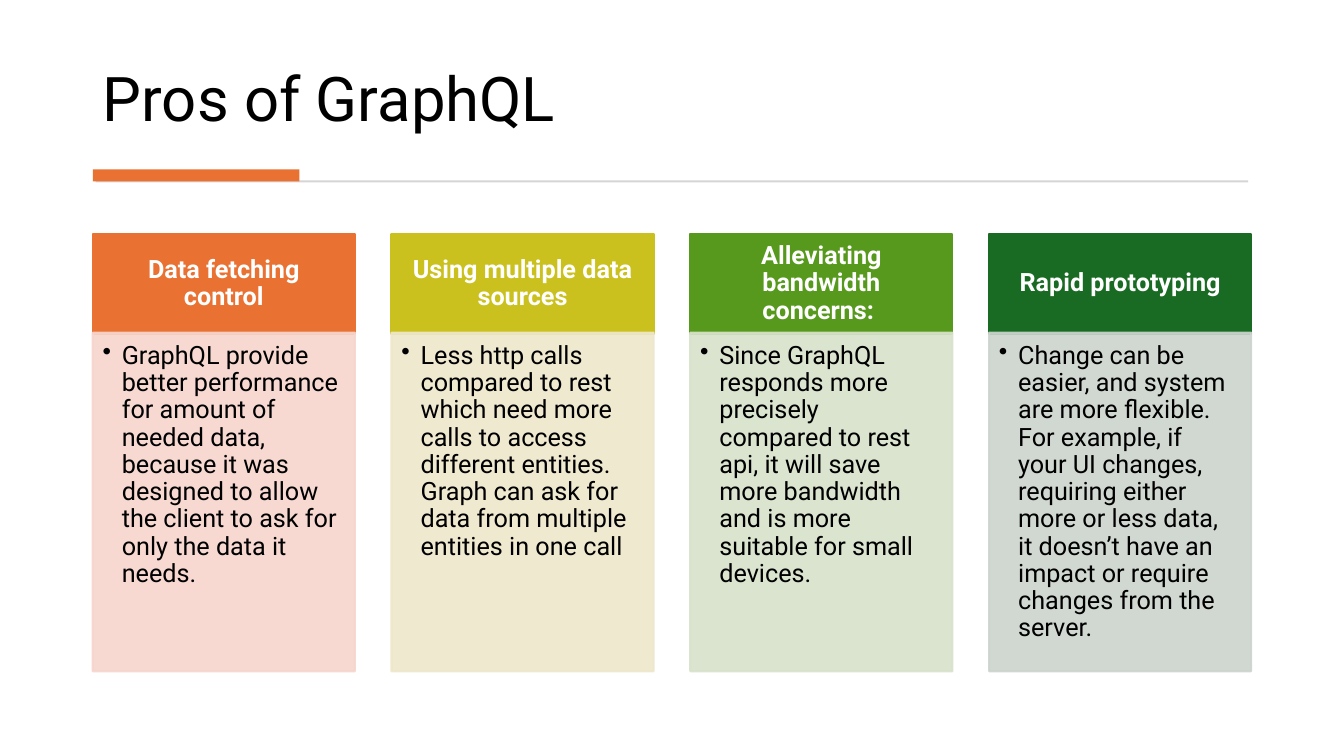
import pptx
import pptx.dml.color
import pptx.enum.shapes
import pptx.enum.text
import pptx.oxml
import pptx.oxml.ns
import pptx.util
from pptx.util import Inches

RGBColor = pptx.dml.color.RGBColor
Anchor = pptx.enum.text.MSO_ANCHOR
Align = pptx.enum.text.PP_ALIGN

BLACK = RGBColor(0x00, 0x00, 0x00)
WHITE = RGBColor(0xFF, 0xFF, 0xFF)
RULE_GREY = RGBColor(0xD5, 0xD5, 0xD5)
ORANGE = RGBColor(0xE9, 0x71, 0x32)
YELLOW = RGBColor(0xCB, 0xC1, 0x1E)
GREEN = RGBColor(0x56, 0x99, 0x1D)
DARK_GREEN = RGBColor(0x19, 0x6B, 0x24)
PALE_ORANGE = RGBColor(0xF7, 0xD5, 0xCE)
PALE_YELLOW = RGBColor(0xEE, 0xE7, 0xCB)
PALE_GREEN = RGBColor(0xD8, 0xE2, 0xCA)
PALE_DARK_GREEN = RGBColor(0xCC, 0xD4, 0xCD)

LEFT = 0.92
CONTENT_WIDTH = 11.49
COLUMN_WIDTH = 2.6
HEADER_TOP, HEADER_HEIGHT = 2.32, 0.99
BODY_TOP, BODY_HEIGHT = 3.3, 3.36

PROS = [
    ("Data fetching control", ORANGE, PALE_ORANGE,
     "GraphQL provide better performance for amount of needed data, because it was "
     "designed to allow the client to ask for only the data it needs."),
    ("Using multiple data sources", YELLOW, PALE_YELLOW,
     "Less http calls compared to rest which need more calls to access different "
     "entities. Graph can ask for data from multiple entities in one call"),
    ("Alleviating bandwidth concerns: ", GREEN, PALE_GREEN,
     "Since GraphQL responds more precisely compared to rest api, it will save more "
     "bandwidth and is more suitable for small devices."),
    ("Rapid prototyping", DARK_GREEN, PALE_DARK_GREEN,
     "Change can be easier, and system are more flexible. For example, if your UI "
     "changes, requiring either more or less data, it doesn’t have an impact or "
     "require changes from the server."),
]
COLUMN_STEP = (CONTENT_WIDTH - COLUMN_WIDTH) / (len(PROS) - 1)


class SlideBuilder:
    font_name = "Roboto"
    line_spacing = 0.9

    def __init__(self, page):
        self.page = page

    def set_text(self, shape, text, size, color, align, anchor, insets, bold=False):
        """Fill a shape with one formatted paragraph and return the paragraph."""
        frame = shape.text_frame
        frame.text = text
        frame.word_wrap = True
        frame.auto_size = pptx.enum.text.MSO_AUTO_SIZE.NONE
        frame.vertical_anchor = anchor
        (frame.margin_left, frame.margin_top,
         frame.margin_right, frame.margin_bottom) = map(Inches, insets)
        para = frame.paragraphs[0]
        para.alignment = align
        para.line_spacing = self.line_spacing
        para.space_before = pptx.util.Pt(0)
        font = para.runs[0].font
        font.name = self.font_name
        font.size = pptx.util.Pt(size)
        font.bold = bold
        font.color.rgb = color
        return para

    def title(self, text, left, top, width, height):
        title = self.page.shapes.title
        title.left, title.top = Inches(left), Inches(top)
        title.width, title.height = Inches(width), Inches(height)
        self.set_text(title, text, 44, BLACK, Align.LEFT, Anchor.BOTTOM,
                      (0.1, 0.05, 0.1, 0.05))

    def rectangle(self, left, top, width, height, color, outlined=False, opacity=100):
        box = self.page.shapes.add_shape(
            pptx.enum.shapes.MSO_SHAPE.RECTANGLE,
            Inches(left), Inches(top), Inches(width), Inches(height))
        box.shadow.inherit = False
        box.fill.solid()
        box.fill.fore_color.rgb = color
        if outlined:
            box.line.color.rgb = color
            box.line.width = pptx.util.Pt(1.5)
        else:
            box.line.fill.background()
        if opacity < 100:
            for paint in box.element.spPr.iter(pptx.oxml.ns.qn("a:srgbClr")):
                paint.append(pptx.oxml.parse_xml(
                    f'<a:alpha {pptx.oxml.ns.nsdecls("a")} val="{opacity * 1000}"/>'))
        return box

    def header(self, left, text, color):
        box = self.rectangle(left, HEADER_TOP, COLUMN_WIDTH, HEADER_HEIGHT,
                             color, outlined=True)
        self.set_text(box, text, 18, WHITE, Align.CENTER, Anchor.MIDDLE,
                      (0.14, 0.08, 0.14, 0.08), bold=True)

    def body(self, left, text, color):
        box = self.rectangle(left, BODY_TOP, COLUMN_WIDTH, BODY_HEIGHT,
                             color, outlined=True, opacity=90)
        para = self.set_text(box, text, 18, BLACK, Align.LEFT, Anchor.TOP,
                             (0.1, 0.1, 0.14, 0.16))
        para.level = 1
        self.bullet(para, 0.19)

    def bullet(self, para, indent):
        properties = para._p.get_or_add_pPr()
        properties.set("marL", str(Inches(indent)))
        properties.set("indent", str(-Inches(indent)))
        properties.append(pptx.oxml.parse_xml(
            f'<a:buChar {pptx.oxml.ns.nsdecls("a")} char="•"/>'))


def main():
    deck = pptx.Presentation()
    deck.slide_width, deck.slide_height = Inches(13.33), Inches(7.5)
    title_only = deck.slide_layouts[5]
    builder = SlideBuilder(deck.slides.add_slide(title_only))

    builder.title("Pros of GraphQL", LEFT, 0.28, CONTENT_WIDTH, 1.11)
    builder.rectangle(0.95, 1.79, 11.43, 0.02, RULE_GREY)
    builder.rectangle(LEFT, 1.68, 2.05, 0.12, ORANGE)

    for index, (heading, color, pale_color, detail) in enumerate(PROS):
        left = LEFT + index * COLUMN_STEP
        builder.header(left, heading, color)
        builder.body(left, detail, pale_color)

    deck.save("out.pptx")


if __name__ == "__main__":
    main()
